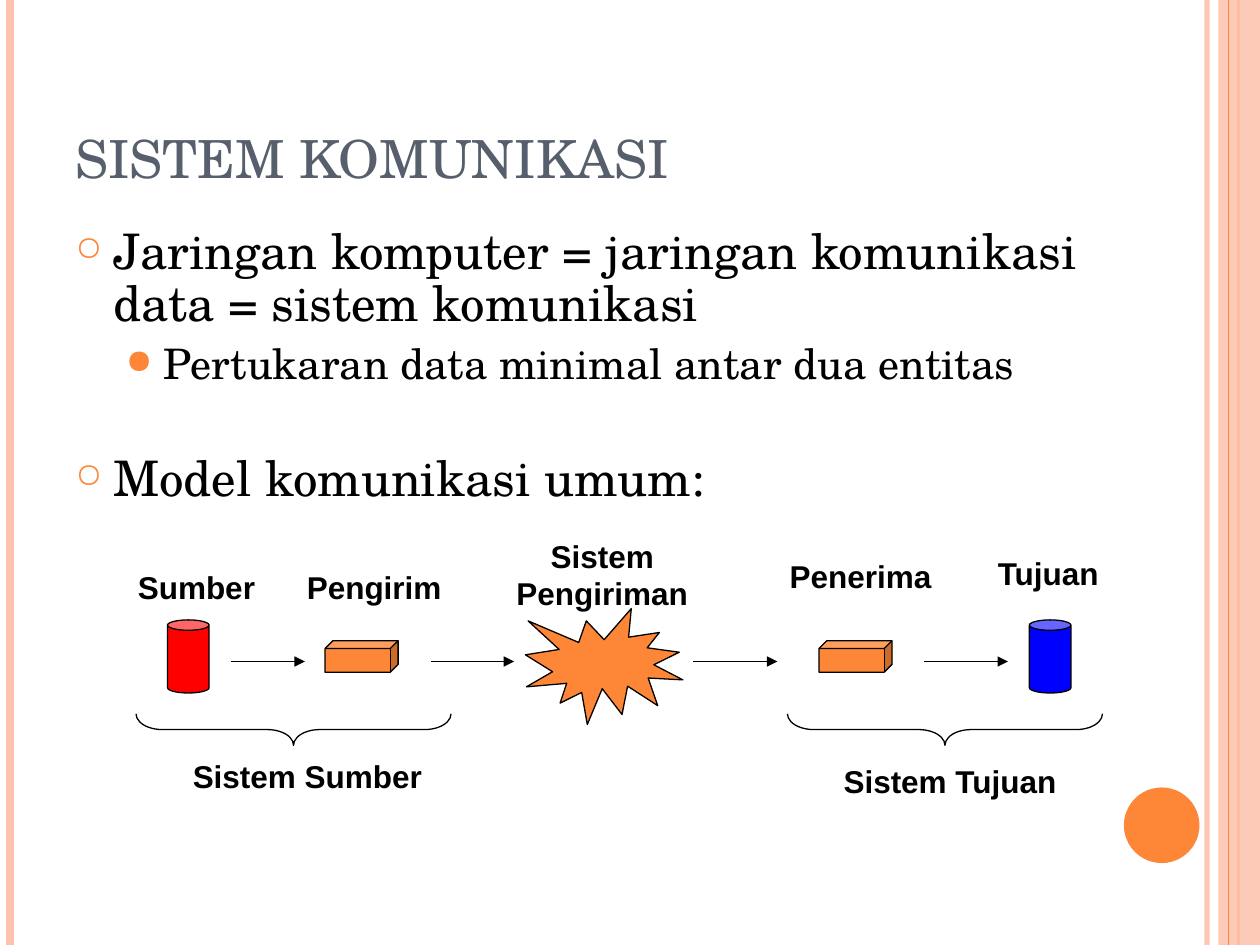
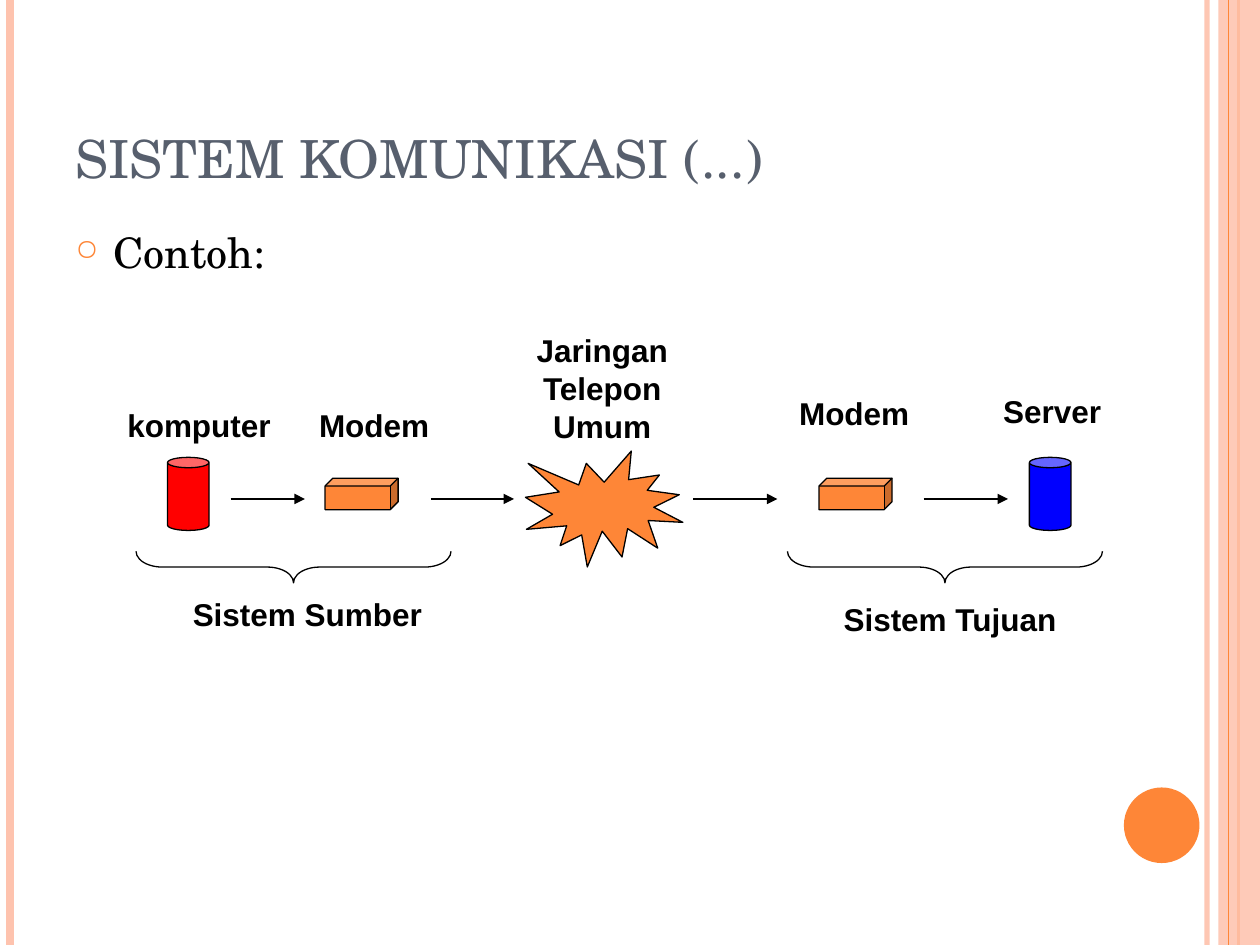
from lxml import etree
from pptx import Presentation
from pptx import util as u
from pptx.dml.color import RGBColor
from pptx.enum import shapes, text
from pptx.oxml import ns

ORANGE = RGBColor(0xFE, 0x86, 0x37)
PEACH = RGBColor(0xFE, 0xC3, 0xAE)
SLATE = RGBColor(0x57, 0x5F, 0x6D)
BLACK = RGBColor(0, 0, 0)
RED = RGBColor(0xFF, 0, 0)
BLUE = RGBColor(0, 0, 0xFF)
SERIF, SANS = "TeX Gyre Schola", "Arial"
KIND = shapes.MSO_SHAPE

SLIDES = [
    {
        "title": "SISTEM KOMUNIKASI",
        "body_height": 2.5,
        "line_spacing": 0.9,
        "bullets": [
            ("Jaringan komputer = jaringan komunikasi data = sistem komunikasi", 0, 28, 6),
            ("Pertukaran data minimal antar dua entitas", 1, 24, 6),
            ("Model komunikasi umum:", 0, 28, 37.5),
        ],
        "axis": 5.25,
        "seal_top": 4.83,
        "labels": [
            (["Sumber"], 1.56, 4.46),
            (["Pengirim"], 2.97, 4.46),
            (["Sistem", "Pengiriman"], 4.78, 4.21),
            (["Penerima"], 6.83, 4.37),
            (["Tujuan"], 8.32, 4.35),
        ],
    },
    {
        "title": "SISTEM KOMUNIKASI (...)",
        "body_height": 0.92,
        "line_spacing": 1.0,
        "bullets": [("Contoh:", 0, 24, 6)],
        "axis": 3.96,
        "seal_top": 3.58,
        "labels": [
            (["komputer"], 1.58, 3.17),
            (["Modem"], 2.97, 3.17),
            (["Jaringan", "Telepon", "Umum"], 4.78, 2.58),
            (["Modem"], 6.78, 3.08),
            (["Server"], 8.35, 3.06),
        ],
    },
]

LEVELS = [("○", 70, 0.3), ("●", 80, 0.7)]
DEVICES = [
    (KIND.CAN, 1.33, 0.33, 0.58, RED),
    (KIND.CAN, 8.17, 0.33, 0.58, BLUE),
    (KIND.CUBE, 2.58, 0.58, 0.25, ORANGE),
    (KIND.CUBE, 6.5, 0.58, 0.25, ORANGE),
]
ARROWS = [(1.83, 2.42), (3.42, 4.08), (5.5, 6.17), (7.33, 8)]
SYSTEMS = [("Sistem Sumber", 2.33, 2.44, 0.71), ("Sistem Tujuan", 7.5, 7.54, 0.75)]
LABEL_WIDTH = 2.2
BRACE_DEPTH, BRACE_SPAN = 0.25, 2.5


def add_xml(parent, tag, **attributes):
    return etree.SubElement(parent, ns.qn(tag), attributes)


def set_opacity(shape, percent):
    for color in shape._element.spPr.iter(ns.qn("a:srgbClr")):
        add_xml(color, "a:alpha", val=str(percent * 1000))


def add_text(page, lines, left, top, width, height, *, size=18, font=SANS, color=BLACK,
             bold=False, align=text.PP_ALIGN.LEFT, anchor=text.MSO_ANCHOR.TOP, wrap=True):
    box = page.shapes.add_textbox(*map(u.Inches, (left, top, width, height)))
    frame = box.text_frame
    frame.word_wrap = wrap
    frame.vertical_anchor = anchor
    for index, line in enumerate(lines):
        para = frame.add_paragraph() if index else frame.paragraphs[0]
        para.alignment = align
        span = para.add_run()
        span.text = line
        span.font.size = u.Pt(size)
        span.font.name = font
        span.font.bold = bold
        span.font.color.rgb = color
    return frame


def add_label(page, lines, center, top):
    add_text(page, lines, center - LABEL_WIDTH / 2, top, LABEL_WIDTH, 0.1 + 0.3 * len(lines),
             bold=True, align=text.PP_ALIGN.CENTER, wrap=False)


def add_figure(page, kind, left, top, width, height, fill=None, outlined=True):
    shape = page.shapes.add_shape(kind, *map(u.Inches, (left, top, width, height)))
    shape.shadow.inherit = False
    if fill is None:
        shape.fill.background()
    else:
        shape.fill.solid()
        shape.fill.fore_color.rgb = fill
    if outlined:
        shape.line.color.rgb = BLACK
        shape.line.width = u.Pt(0.75)
    else:
        shape.line.fill.background()
    return shape


def add_line(page, start, end, color=BLACK, width=0.75, arrow=False):
    line = page.shapes.add_connector(
        shapes.MSO_CONNECTOR.STRAIGHT, *map(u.Inches, (*start, *end)))
    line.line.color.rgb = color
    line.line.width = u.Pt(width)
    if arrow:
        add_xml(line.line._get_or_add_ln(), "a:tailEnd", type="triangle")
    add_xml(line._element.spPr, "a:effectLst")
    return line


def add_rule(page, x, color, width):
    return add_line(page, (x, 0), (x, 7.5), color, width)


def add_frame(page, title):
    set_opacity(add_rule(page, 9.58, PEACH, 3), 93)
    add_rule(page, 0.08, PEACH, 4.5)
    add_rule(page, 9.83, ORANGE, 1.5)
    band = add_figure(page, KIND.RECTANGLE, 9.67, 0, 0.33, 7.5, PEACH, outlined=False)
    set_opacity(band, 87)
    add_rule(page, 9.75, ORANGE, 0.75)
    add_figure(page, KIND.OVAL, 8.92, 6.25, 0.6, 0.6, ORANGE, outlined=False)
    add_text(page, [title], 0.5, 0.3, 8.17, 1.25, size=30, font=SERIF, color=SLATE,
             anchor=text.MSO_ANCHOR.BOTTOM)


def add_bullets(page, content):
    bullets = content["bullets"]
    frame = add_text(page, [bullet[0] for bullet in bullets], 0.5, 1.75, 9,
                     content["body_height"], font=SERIF)
    for para, (_, level, size, before) in zip(frame.paragraphs, bullets):
        mark, percent, indent = LEVELS[level]
        para.level = level
        para.line_spacing = content["line_spacing"]
        para.space_before = u.Pt(before)
        para.runs[0].font.size = u.Pt(size)
        properties = para._p.get_or_add_pPr()
        properties.set("marL", str(u.Inches(indent)))
        properties.set("indent", str(u.Inches(-0.3)))
        add_xml(add_xml(properties, "a:buClr"), "a:srgbClr", val=str(ORANGE))
        add_xml(properties, "a:buSzPct", val=str(percent * 1000))
        add_xml(properties, "a:buChar", char=mark)


def add_model(page, content):
    axis = content["axis"]
    for kind, left, width, height, fill in DEVICES:
        middle = axis - 0.04
        add_figure(page, kind, left, middle - height / 2, width, height, fill)
    for start, end in ARROWS:
        add_line(page, (start, axis), (end, axis), arrow=True)
    for lines, center, top in content["labels"]:
        add_label(page, lines, center, top)
    for name, brace_center, label_center, drop in SYSTEMS:
        brace = add_figure(page, KIND.LEFT_BRACE, brace_center - BRACE_DEPTH / 2,
                           axis + 0.54 - BRACE_SPAN / 2, BRACE_DEPTH, BRACE_SPAN)
        brace.adjustments[0] = 0.83
        brace.rotation = 270
        add_label(page, [name], label_center, axis + drop)
    add_figure(page, KIND.EXPLOSION1, 4.17, content["seal_top"], 1.25, 0.92, ORANGE)


def main():
    deck = Presentation()
    deck.slide_width, deck.slide_height = u.Inches(10), u.Inches(7.5)
    for content in SLIDES:
        page = deck.slides.add_slide(deck.slide_layouts[6])
        add_frame(page, content["title"])
        add_bullets(page, content)
        add_model(page, content)
    deck.save("out.pptx")


if __name__ == "__main__":
    main()
